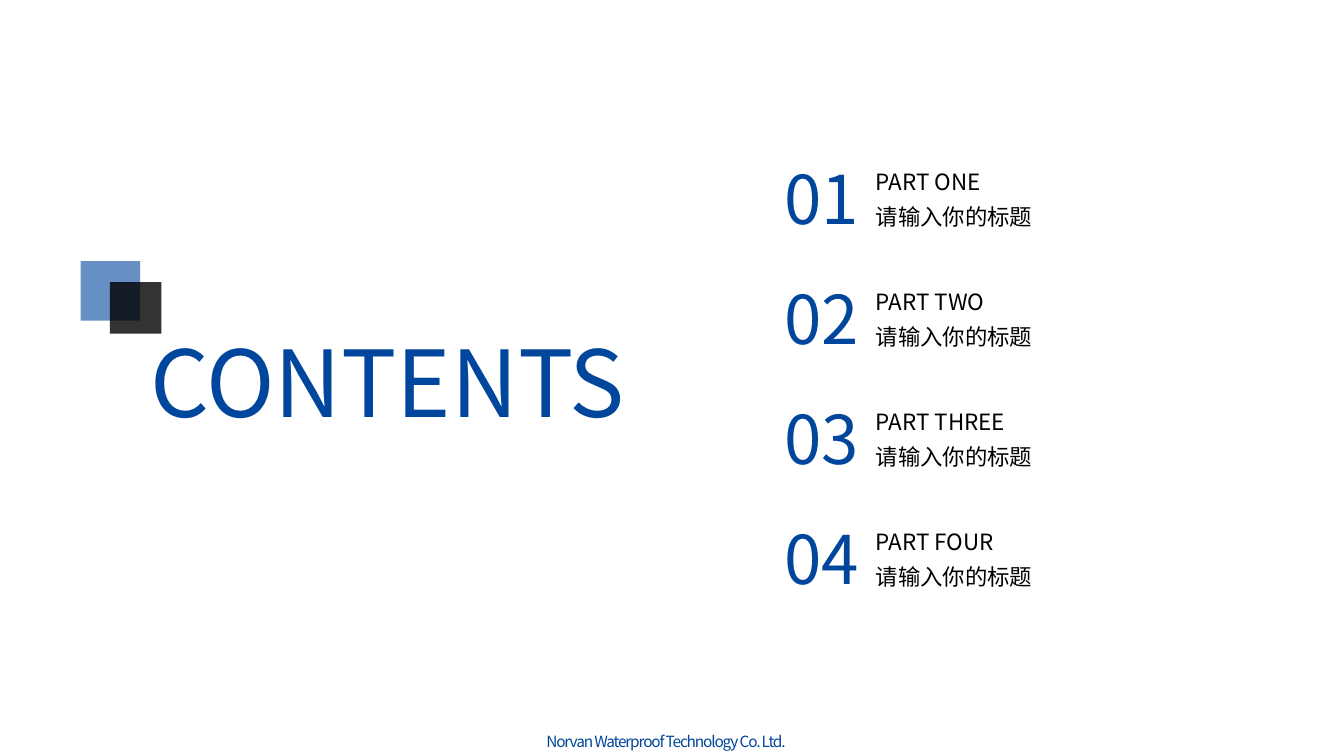
from dataclasses import dataclass

from lxml import etree
from pptx import Presentation
from pptx.dml.color import RGBColor
from pptx.enum.dml import MSO_FILL
from pptx.enum.shapes import MSO_SHAPE
from pptx.enum.text import MSO_ANCHOR, MSO_AUTO_SIZE, PP_ALIGN
from pptx.oxml.ns import qn
from pptx.slide import Slide
from pptx.text.text import TextFrame
from pptx.util import Inches, Pt

RECTANGLE = MSO_SHAPE.RECTANGLE
TOP = MSO_ANCHOR.TOP
LEFT = PP_ALIGN.LEFT
GROW = MSO_AUTO_SIZE.SHAPE_TO_FIT_TEXT

BLUE = RGBColor(0x00, 0x46, 0x9C)
BLACK = RGBColor(0x00, 0x00, 0x00)
FONT = "Noto Sans CJK SC"

FIRST_TOP = 1.51
ROW_STEP = 1.19
SUBTITLE = "请输入你的标题"
PARTS = ("PART ONE", "PART TWO", "PART THREE", "PART FOUR")


@dataclass(frozen=True)
class Area:
    left: float
    top: float
    width: float
    height: float

    def lengths(self) -> tuple:
        return tuple(Inches(n) for n in (self.left, self.top, self.width, self.height))


@dataclass(frozen=True)
class Square:
    left: float
    top: float
    side: float
    color: RGBColor
    opacity: int


SQUARES = (
    Square(0.8, 2.59, 0.59, BLUE, 60),
    Square(1.09, 2.8, 0.51, BLACK, 80),
)


def write(frame: TextFrame, text: str, size: float, color: RGBColor,
          line_spacing: float = 1.0, tracking: float = 0) -> None:
    frame.text = text
    frame.word_wrap = False
    frame.auto_size = GROW
    frame.vertical_anchor = TOP
    for para in frame.paragraphs:
        para.alignment = LEFT
        para.line_spacing = line_spacing
        for span in para.runs:
            span.font.name = FONT
            span.font.size = Pt(size)
            span.font.color.rgb = color
            properties = span.font._element
            east_asian = etree.Element(qn("a:ea"), typeface=FONT)
            properties.find(qn("a:latin")).addnext(east_asian)
            if tracking:
                properties.set("spc", str(round(tracking * 100)))


def add_text(page: Slide, area: Area, text: str, size: float, color: RGBColor,
             line_spacing: float = 1.0, tracking: float = 0) -> None:
    box = page.shapes.add_textbox(*area.lengths())
    write(box.text_frame, text, size, color, line_spacing, tracking)


def add_square(page: Slide, square: Square) -> None:
    area = Area(square.left, square.top, square.side, square.side)
    shape = page.shapes.add_shape(RECTANGLE, *area.lengths())
    shape.shadow.inherit = False
    shape.line.fill.background()
    shape.fill.solid()
    shape.fill.fore_color.rgb = square.color
    color = shape._element.spPr.find(qn("a:solidFill"))[0]
    etree.SubElement(color, qn("a:alpha"), val=str(square.opacity * 1000))


def main() -> None:
    deck = Presentation()
    deck.slide_width, deck.slide_height = Inches(13.33), Inches(7.5)
    page = deck.slides.add_slide(deck.slide_layouts[5])

    # Footer
    add_text(page, Area(5.32, 7.21, 2.69, 0.29),
             "Norvan Waterproof Technology Co. Ltd.", 11, BLUE, tracking=-0.85)

    # Title and its two overlapping squares
    title = page.shapes.title
    title.left, title.top, title.width, title.height = Area(1.39, 3.18, 5.17, 1.21).lengths()
    write(title.text_frame, "CONTENTS", 66, BLUE)
    for square in SQUARES:
        add_square(page, square)

    # Numbered parts
    for index, part in enumerate(PARTS):
        top = FIRST_TOP + index * ROW_STEP
        add_text(page, Area(8.59, top + 0.03, 1.77, 0.77),
                 f"{part}\n{SUBTITLE}", 16, BLACK, line_spacing=1.3)
        add_text(page, Area(7.68, top, 0.99, 0.91), f"{index + 1:02d}", 48, BLUE)

    deck.save("out.pptx")


if __name__ == "__main__":
    main()
